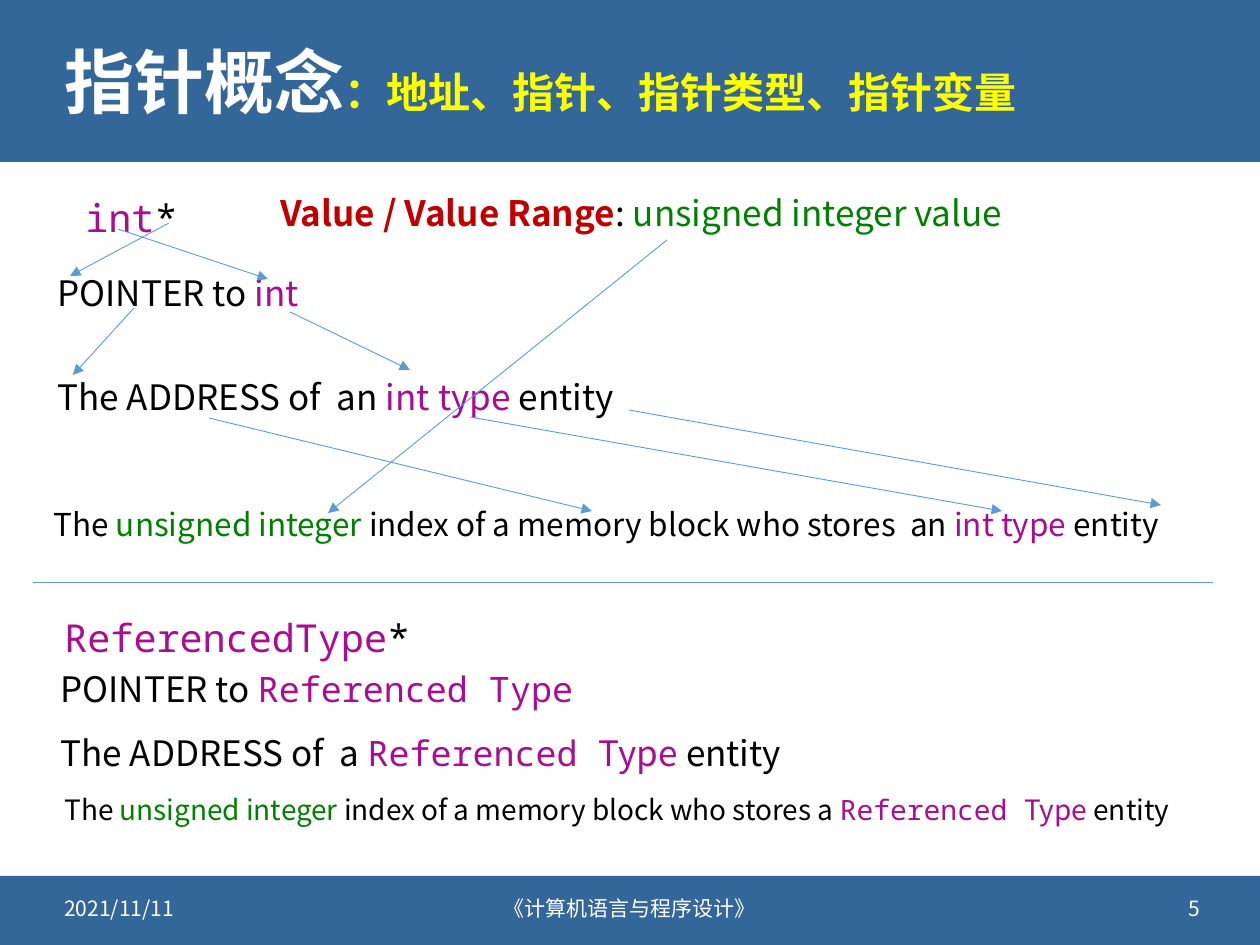
"""Build the slide that explains pointer concepts."""
from lxml import etree
from pptx import Presentation
from pptx.dml.color import RGBColor
from pptx.enum.shapes import MSO_CONNECTOR, MSO_SHAPE
from pptx.enum.text import MSO_ANCHOR, PP_ALIGN
from pptx.oxml.ns import qn
from pptx.util import Pt

SCALE = 914400 / 126
WIDTH, HEIGHT = 1260, 945
STRAIGHT = MSO_CONNECTOR.STRAIGHT
RECTANGLE = MSO_SHAPE.RECTANGLE
TOP, MIDDLE = MSO_ANCHOR.TOP, MSO_ANCHOR.MIDDLE
LEFT, CENTER, RIGHT = PP_ALIGN.LEFT, PP_ALIGN.CENTER, PP_ALIGN.RIGHT
SANS, MONO = "Noto Sans CJK SC", "Noto Sans Mono"

BAND = RGBColor(0x33, 0x66, 0x99)
ARROW = RGBColor(0x5B, 0x9B, 0xD5)
WHITE = RGBColor(0xFF, 0xFF, 0xFF)
BLACK = RGBColor(0, 0, 0)
YELLOW = RGBColor(0xFF, 0xFF, 0)
RED = RGBColor(0xC0, 0, 0)
GREEN = RGBColor(0, 0x80, 0)
PURPLE = RGBColor(0xAA, 0x0B, 0x91)
CODE = RGBColor(0xAA, 0x0D, 0x91)

ENTITY = ("entity", {})
INT_TYPE = ("int type ", {"color": PURPLE})
UNSIGNED = ("unsigned integer ", {"color": GREEN})
REFERENCED = ("Referenced ", {"color": CODE, "font": MONO})
TYPE = ("Type ", {"color": PURPLE})

STATEMENTS = [
    ((268, 185, 795, 55), 20, [("Value / Value Range", {"color": RED, "bold": True}), (": ", {}),
                               ("unsigned integer value", {"color": GREEN})]),
    ((45, 265, 278, 55), 20, [("POINTER to ", {}), ("int", {"color": PURPLE})]),
    ((45, 369, 614, 55), 20, [("The ADDRESS of  an ", {}), INT_TYPE, ENTITY]),
    ((41, 499, 1218, 50), 18, [("The ", {}), UNSIGNED,
                               ("index of a memory block who stores  an ", {}), INT_TYPE, ENTITY]),
    ((48, 661, 552, 55), 20, [("POINTER to ", {}),
                              ("Referenced Type", {"color": CODE, "font": MONO})]),
    ((48, 725, 781, 55), 20, [("The ADDRESS of  a ", {}), REFERENCED, TYPE, ENTITY]),
    ((52, 786, 1167, 47), 16, [("The ", {}), UNSIGNED,
                               ("index of a memory block who stores a ", {}),
                               REFERENCED, TYPE, ENTITY]),
]
DECLARATIONS = [((73, 183, 136, 60), "int"), ((52, 603, 495, 60), "ReferencedType")]
FOOTERS = [
    ((52, 883, 302, 50), "2021/11/11", LEFT),
    ((403, 883, 454, 50), "《计算机语言与程序设计》", CENTER),
    ((911, 883, 302, 50), "5", RIGHT),
]
ARROWS = [
    ((667, 240), (328, 513)),
    ((169, 223), (70, 276)),
    ((118, 229), (268, 279)),
    ((290, 312), (410, 370)),
    ((134, 308), (73, 375)),
    ((470, 417), (1002, 511)),
    ((629, 410), (1161, 505)),
    ((209, 418), (592, 511)),
]


def px(*lengths):
    """Turn pixel lengths into EMU."""
    return [round(length * SCALE) for length in lengths]


def add_band(page, top, height):
    """Draw a full-width coloured band."""
    band = page.shapes.add_shape(RECTANGLE, *px(0, top, WIDTH, height))
    band.shadow.inherit = False
    band.fill.solid()
    band.fill.fore_color.rgb = BAND
    band.line.fill.background()


def add_span(para, text, size=20, color=BLACK, font=SANS, bold=False):
    """Append formatted text to a paragraph."""
    span = para.add_run()
    span.text = text
    span.font.size = Pt(size)
    span.font.bold = bold
    span.font.color.rgb = color
    span.font.name = font
    etree.SubElement(span.font._element, qn("a:ea"), typeface=font)


def add_text(page, area, spans, size=20, align=LEFT, anchor=TOP, spacing=None, before=None):
    """Add a one-paragraph text box made of formatted spans."""
    box = page.shapes.add_textbox(*px(*area))
    frame = box.text_frame
    frame.word_wrap = True
    frame.vertical_anchor = anchor
    para = frame.paragraphs[0]
    para.alignment = align
    para.line_spacing = spacing
    if before:
        para.space_before = Pt(before)
    for text, style in spans:
        add_span(para, text, **{"size": size, **style})


def add_line(page, start, end, arrow=True):
    """Draw a thin line, with an arrowhead at its end if wanted."""
    line = page.shapes.add_connector(STRAIGHT, *px(*start, *end))
    line.line.color.rgb = ARROW
    line.line.width = Pt(0.5)
    if arrow:
        etree.SubElement(line.line._get_or_add_ln(), qn("a:tailEnd"), type="triangle")
    etree.SubElement(line._element.spPr, qn("a:effectLst"))


def main():
    """Assemble and save the deck."""
    deck = Presentation()
    deck.slide_width, deck.slide_height = px(WIDTH, HEIGHT)
    page = deck.slides.add_slide(deck.slide_layouts[6])
    add_band(page, 0, 162)
    add_band(page, 876, 69)
    title = [("指针概念", {"size": 40, "color": WHITE, "bold": True}),
             ("：地址、指针、指针类型、指针变量", {"size": 24, "color": YELLOW, "bold": True})]
    add_text(page, (52, 23, 1158, 125), title, anchor=MIDDLE, spacing=0.9)
    for area, text, align in FOOTERS:
        add_text(page, area, [(text, {"color": WHITE})], size=12, align=align, anchor=MIDDLE)
    for area, name in DECLARATIONS:
        spans = [(name, {"color": CODE, "font": MONO}), ("*", {"font": MONO})]
        add_text(page, area, spans, size=22, spacing=1.1, before=10)
    for area, size, spans in STATEMENTS:
        add_text(page, area, spans, size=size)
    for start, end in ARROWS:
        add_line(page, start, end)
    add_line(page, (33, 582), (1213, 582), arrow=False)
    deck.save("out.pptx")


if __name__ == "__main__":
    main()
